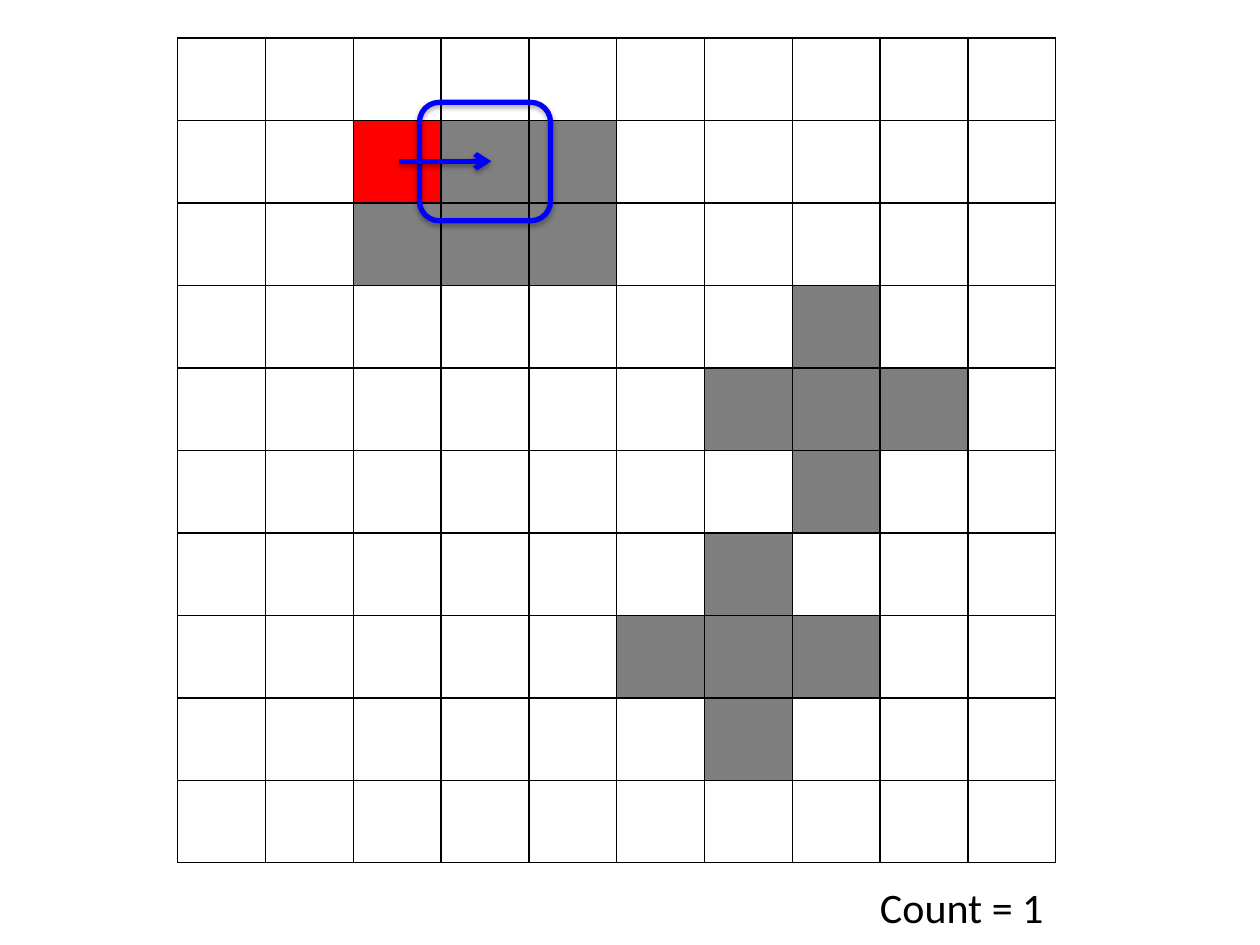
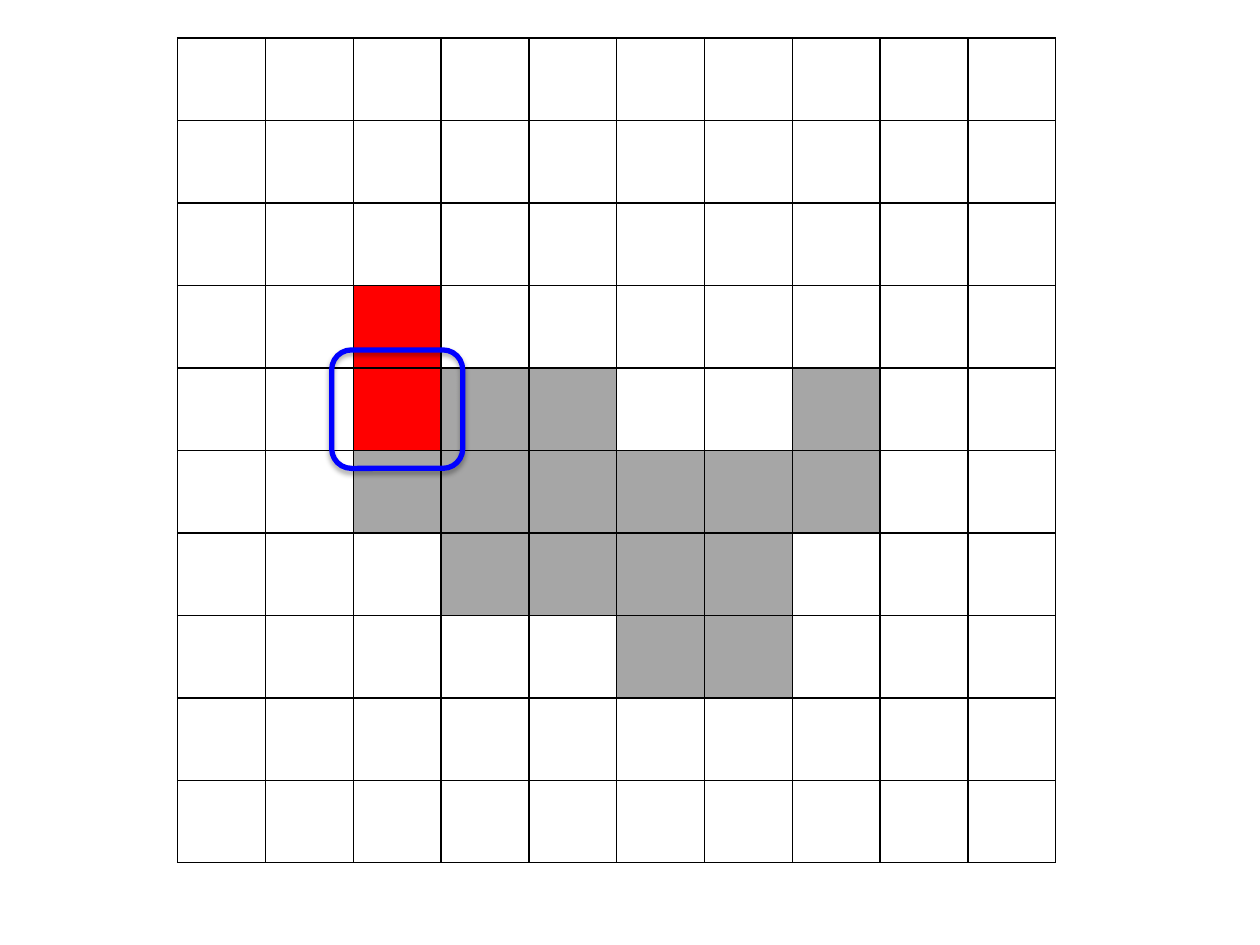
from dataclasses import dataclass

from pptx import Presentation
from pptx.dml.color import RGBColor
from pptx.enum.shapes import MSO_CONNECTOR as CONN, MSO_SHAPE as SHAPE
from pptx.enum.text import MSO_AUTO_SIZE as AUTO, PP_ALIGN as ALIGN
from pptx.oxml import parse_xml
from pptx.oxml.ns import nsdecls
from pptx.util import Inches, Pt


@dataclass(frozen=True)
class Theme:
    font: str = "Calibri"
    text_size: int = 24
    text: str = "000000"
    grid: str = "000000"
    grid_width: float = 1
    accent: str = "0000FF"
    accent_width: float = 3
    visited: str = "FF0000"
    block: str = "808080"
    cross: str = "7F7F7F"
    region: str = "A6A6A6"


THEME = Theme()

# Grid geometry, in inches
LEFT, TOP, WIDTH, HEIGHT, N = 1.41, 0.3, 6.97, 6.55, 10
COL, ROW = WIDTH / N, HEIGHT / N
WINDOW_W, WINDOW_H = 1.04, 0.94

# Cell maps: a dot is an empty cell, a letter is a key of FILLS
FILLS = {"V": THEME.visited, "B": THEME.block, "C": THEME.cross, "R": THEME.region}

SEPARATE_OBJECTS = """
..........
..VBB.....
..BBB.....
.......C..
......CCC.
.......C..
......C...
.....CCC..
......C...
..........
""".split()

ONE_OBJECT = """
..........
..........
..........
..V.......
..VRR..R..
..RRRRRR..
...RRRR...
.....RR...
..........
..........
""".split()


def cell_center(row, col):
    return LEFT + (col + 0.5) * COL, TOP + (row + 0.5) * ROW


class Deck:
    def __init__(self, theme):
        self.theme = theme
        self.prs = Presentation()
        self.prs.slide_width, self.prs.slide_height = Inches(10), Inches(7.5)
        self.slide = None

    def new_slide(self):
        self.slide = self.prs.slides.add_slide(self.prs.slide_layouts[6])

    def grid(self, cell_map):
        tbl = self.slide.shapes.add_table(
            N, N, Inches(LEFT), Inches(TOP), Inches(WIDTH), Inches(HEIGHT)).table
        tbl.first_row = tbl.horz_banding = False
        for col in tbl.columns:
            col.width = Inches(COL)
        for row, line in zip(tbl.rows, cell_map):
            row.height = Inches(ROW)
            for cell, key in zip(row.cells, line):
                self.borders(cell)
                if key in FILLS:
                    cell.fill.solid()
                    cell.fill.fore_color.rgb = RGBColor.from_string(FILLS[key])
                else:
                    cell.fill.background()

    def borders(self, cell):
        pr = cell._tc.get_or_add_tcPr()
        for side in ("lnL", "lnR", "lnT", "lnB"):
            pr.append(parse_xml(
                f'<a:{side} {nsdecls("a")} w="{Pt(self.theme.grid_width)}">'
                f'<a:solidFill><a:srgbClr val="{self.theme.grid}"/></a:solidFill>'
                f'</a:{side}>'))

    def accent_line(self, sp, distance, opacity):
        """Blue outline with a soft shadow falling straight down."""
        sp.line.color.rgb = RGBColor.from_string(self.theme.accent)
        sp.line.width = Pt(self.theme.accent_width)
        sp._element.spPr.append(parse_xml(
            f'<a:effectLst {nsdecls("a")}><a:outerShdw blurRad="{Pt(3.1)}" '
            f'dist="{Pt(distance)}" dir="5400000" rotWithShape="0">'
            f'<a:srgbClr val="000000"><a:alpha val="{opacity * 1000}"/></a:srgbClr>'
            f'</a:outerShdw></a:effectLst>'))

    def window(self, row, col):
        """Rounded frame centred on one cell."""
        x, y = cell_center(row, col)
        sp = self.slide.shapes.add_shape(
            SHAPE.ROUNDED_RECTANGLE, Inches(x - WINDOW_W / 2),
            Inches(y - WINDOW_H / 2), Inches(WINDOW_W), Inches(WINDOW_H))
        sp.fill.background()
        self.accent_line(sp, 1.8, 35)

    def arrow(self, x1, x2, y):
        sp = self.slide.shapes.add_connector(
            CONN.STRAIGHT, Inches(x1), Inches(y), Inches(x2), Inches(y))
        self.accent_line(sp, 1.6, 38)
        sp.line._get_or_add_ln().append(
            parse_xml(f'<a:tailEnd {nsdecls("a")} type="arrow"/>'))

    def label(self, text, x, y, w, h):
        tf = self.slide.shapes.add_textbox(
            Inches(x), Inches(y), Inches(w), Inches(h)).text_frame
        tf.word_wrap = True
        tf.auto_size = AUTO.SHAPE_TO_FIT_TEXT
        p = tf.paragraphs[0]
        p.text = text
        p.alignment = ALIGN.RIGHT
        p.font.name = self.theme.font
        p.font.size = Pt(self.theme.text_size)
        p.font.color.rgb = RGBColor.from_string(self.theme.text)


def main():
    deck = Deck(THEME)

    # Slide 1: the window steps right from the first visited cell
    deck.new_slide()
    deck.grid(SEPARATE_OBJECTS)
    deck.window(1, 3)
    deck.label("Count = 1", 6.3, 6.95, 2.08, 0.5)
    deck.arrow(3.17, 3.9, 1.28)

    # Slide 2: the window is on the second visited cell
    deck.new_slide()
    deck.grid(ONE_OBJECT)
    deck.window(4, 2)

    deck.prs.save("out.pptx")


if __name__ == "__main__":
    main()
